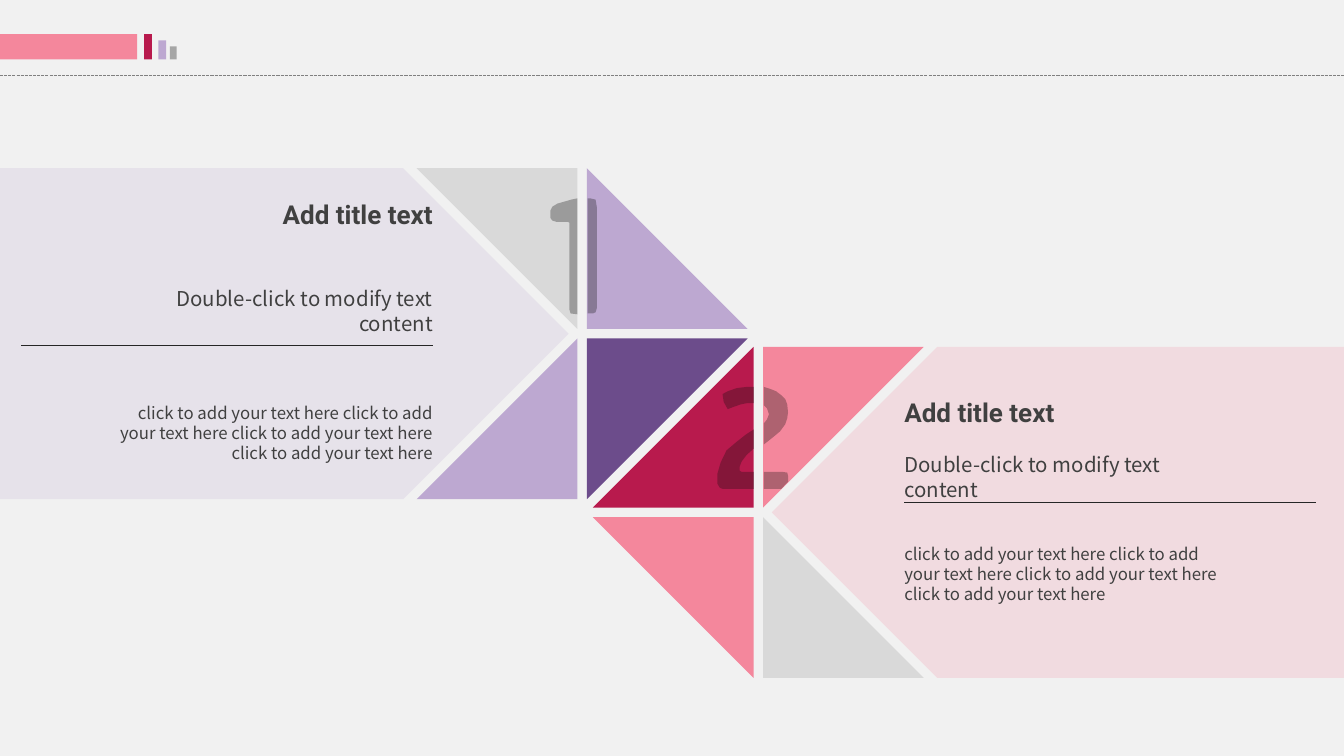
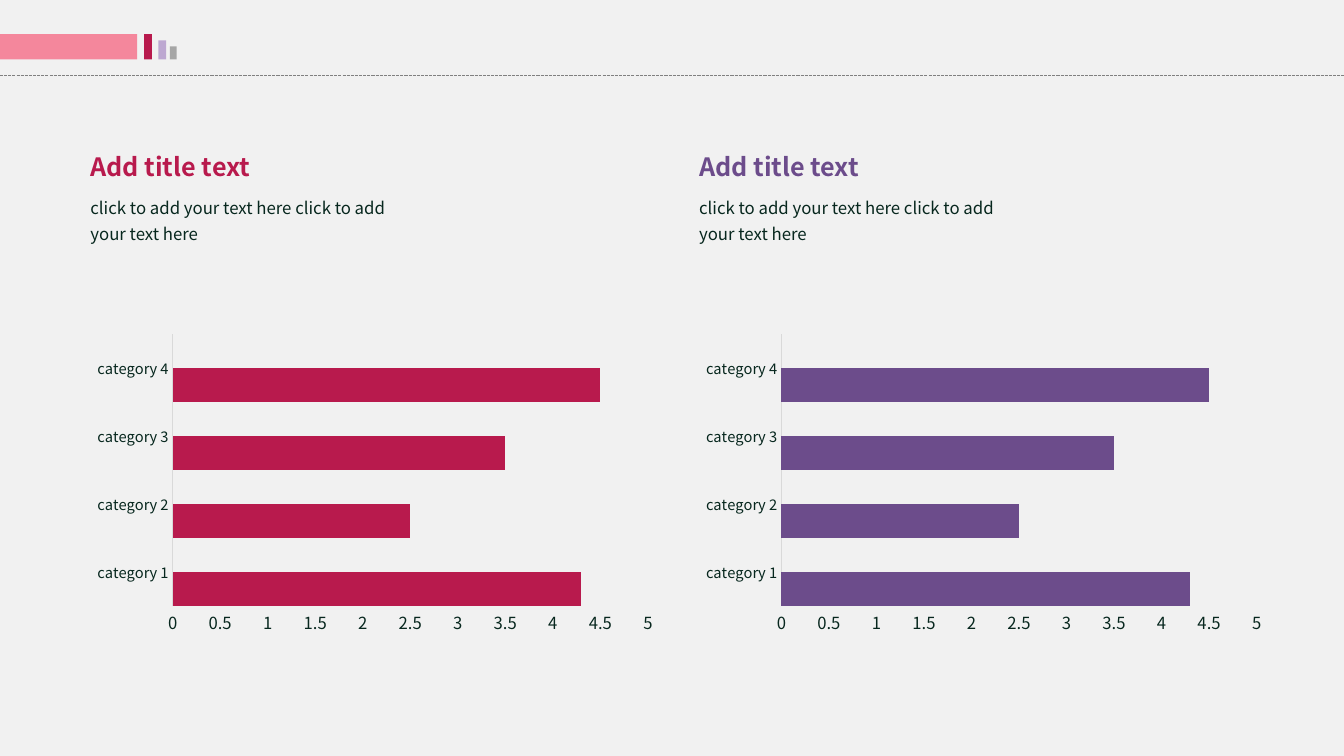
from dataclasses import dataclass
from itertools import product

from lxml.etree import SubElement
from pptx import Presentation
from pptx.chart.data import CategoryChartData
from pptx.dml.color import RGBColor
from pptx.enum.chart import XL_CHART_TYPE, XL_TICK_MARK
from pptx.enum.dml import MSO_LINE
from pptx.enum.shapes import MSO_CONNECTOR, MSO_SHAPE
from pptx.enum.text import MSO_ANCHOR, PP_ALIGN
from pptx.oxml.ns import qn
from pptx.util import Cm, Pt


@dataclass(frozen=True)
class Theme:
    # Colours
    page: str = "F1F1F1"
    crimson: str = "B81A4D"
    pink: str = "F4879C"
    purple: str = "6C4C8B"
    lilac: str = "BDA8D1"
    silver: str = "D9D9D9"
    grey: str = "A6A6A6"
    dash: str = "808080"
    rule: str = "262626"
    numeral: str = "0D0D0D"
    text: str = "404040"
    ink: str = "07271E"
    # Fonts and type sizes
    heading_font: str = "Roboto"
    body_font: str = "Noto Sans CJK KR"
    axis_font: str = "Noto Sans CJK SC"
    heading: float = 18.6
    subheading: float = 14.6
    chart_heading: float = 18
    body: float = 12
    category: float = 10.5
    value: float = 11.9
    hairline: float = 0.75


T = Theme()
WIDTH, HEIGHT = 33.87, 19.05
TITLE = "Add title text"
SUBTITLE = "Double-click to modify text content"
PHRASE = "click to add your text here"

# Numeral outlines, cut in two by the vertical gap of each emblem
ONE = [
    [(14.55, 5), (14.4, 5.03), (14.05, 5.13), (13.92, 5.21), (13.87, 5.31),
     (13.87, 5.49), (13.92, 5.56), (14.02, 5.59), (14.3, 5.59), (14.35, 5.61),
     (14.35, 7.8), (14.38, 7.9), (14.55, 7.92)],
    [(14.81, 5), (14.88, 5), (15.01, 5.03), (15.04, 5.21), (15.04, 7.77),
     (15.01, 7.87), (14.94, 7.9), (14.81, 7.9)],
]
TWO = [
    [(19, 9.75), (18.82, 9.75), (18.57, 9.78), (18.34, 9.86), (18.21, 9.93),
     (18.24, 10.13), (18.34, 10.31), (18.47, 10.26), (18.67, 10.19),
     (18.82, 10.16), (19, 10.16)],
    [(19, 10.82), (18.8, 10.95), (18.57, 11.13), (18.31, 11.35), (18.16, 11.66),
     (18.08, 11.94), (18.08, 12.19), (18.14, 12.29), (18.21, 12.32), (19, 12.32),
     (19, 11.89), (18.69, 11.89), (18.64, 11.86), (18.64, 11.76), (18.69, 11.63),
     (18.82, 11.46), (19, 11.3)],
    [(19.25, 9.75), (19.41, 9.8), (19.56, 9.86), (19.69, 9.96), (19.79, 10.06),
     (19.84, 10.19), (19.86, 10.39), (19.84, 10.54), (19.79, 10.69),
     (19.66, 10.87), (19.48, 11.02), (19.25, 11.2), (19.25, 10.67),
     (19.33, 10.57), (19.38, 10.44), (19.33, 10.29), (19.25, 10.21)],
    [(19.25, 11.89), (19.71, 11.89), (19.84, 11.91), (19.86, 11.99),
     (19.86, 12.14), (19.69, 12.32), (19.25, 12.32)],
]


def rgb(color):
    return RGBColor.from_string(color)


class Deck:
    def __init__(self):
        self.prs = Presentation()
        self.prs.slide_width, self.prs.slide_height = Cm(WIDTH), Cm(HEIGHT)
        fill = self.prs.slide_master.background.fill
        fill.solid()
        fill.fore_color.rgb = rgb(T.page)
        self.s = None

    def new_slide(self):
        """Add a slide with the shared header band."""
        self.s = self.prs.slides.add_slide(self.prs.slide_layouts[6])
        self.line(0, WIDTH, 1.9, T.dash, MSO_LINE.SQUARE_DOT)
        base = 1.5
        for x, w, h, color in [(0, 3.46, 0.64, T.pink), (3.63, 0.2, 0.64, T.crimson),
                               (3.99, 0.2, 0.48, T.lilac), (4.28, 0.17, 0.33, T.grey)]:
            bar = self.s.shapes.add_shape(MSO_SHAPE.RECTANGLE, Cm(x), Cm(base - h), Cm(w), Cm(h))
            self.paint(bar, color)

    def paint(self, sp, color, opacity=100):
        sp.shadow.inherit = False
        sp.line.fill.background()
        sp.fill.solid()
        sp.fill.fore_color.rgb = rgb(color)
        if opacity < 100:
            clr = sp.fill._xPr.find(f".//{qn('a:srgbClr')}")
            SubElement(clr, qn("a:alpha"), val=str(opacity * 1000))

    def line(self, x1, x2, y, color, dash=None):
        cn = self.s.shapes.add_connector(MSO_CONNECTOR.STRAIGHT, Cm(x1), Cm(y), Cm(x2), Cm(y))
        cn.line.color.rgb = rgb(color)
        cn.line.width = Pt(T.hairline)
        if dash:
            cn.line.dash_style = dash
        SubElement(cn._element.spPr, qn("a:effectLst"))

    def polygon(self, points, color, opacity=100):
        start, *rest = [(Cm(x), Cm(y)) for x, y in points]
        builder = self.s.shapes.build_freeform(*start)
        builder.add_line_segments(rest, close=True)
        self.paint(builder.convert_to_shape(), color, opacity)

    def text(self, x, y, w, h, words, size, color=T.text, font=T.body_font, bold=False,
             align=PP_ALIGN.LEFT, spacing=None, anchor=MSO_ANCHOR.TOP, inset=True):
        tf = self.s.shapes.add_textbox(Cm(x), Cm(y), Cm(w), Cm(h)).text_frame
        tf.word_wrap = True
        tf.vertical_anchor = anchor
        if not inset:
            tf.margin_left = tf.margin_right = tf.margin_top = tf.margin_bottom = 0
        p = tf.paragraphs[0]
        p.text = words
        p.alignment = align
        if spacing:
            p.line_spacing = spacing
        p.font.name, p.font.size, p.font.bold = font, Pt(size), bold
        p.font.color.rgb = rgb(color)

    def panel(self, cx, cy, side, color):
        """Pale arrow from the slide edge (side -1 left, 1 right) to an emblem centre."""
        half = 4.17
        edge = WIDTH if side > 0 else 0
        tip = cx + side * 0.34
        shoulder = tip + side * half
        self.polygon([(edge, cy - half), (shoulder, cy - half), (tip, cy),
                      (shoulder, cy + half), (edge, cy + half)], color, 20)

    def emblem(self, cx, cy, side, colors, numeral):
        """Four triangles around a cross-shaped gap, with a numeral on top."""
        gap, leg = 0.12, 4.05
        for (dx, dy), color in zip(product((-1, 1), repeat=2), colors):
            x_in, x_out = cx + dx * gap, cx + dx * (gap + leg)
            near, far = cy + dy * gap, cy + dy * (gap + leg)
            if dx == side:
                near, far = far, near
            self.polygon([(x_in, near), (x_in, far), (x_out, near)], color)
        for outline in numeral:
            self.polygon(outline, T.numeral, 30)

    def caption(self, side, x, widths, tops, rule):
        """Title, subtitle, rule and body; x is the edge the text is aligned to."""
        align = PP_ALIGN.RIGHT if side < 0 else PP_ALIGN.LEFT
        styles = [
            (0.71, TITLE, T.heading, dict(font=T.heading_font, bold=True, spacing=0.9)),
            (0.64, SUBTITLE, T.subheading, {}),
            (1.55, " ".join([PHRASE] * 4), T.body, dict(anchor=MSO_ANCHOR.MIDDLE)),
        ]
        for w, y, (h, words, size, style) in zip(widths, tops, styles):
            left = x - w if side < 0 else x
            self.text(left, y, w, h, words, size, align=align, inset=False, **style)
        self.line(x, x + side * 10.38, rule, T.rule)

    def bar_chart(self, x, y, w, h, color):
        data = CategoryChartData()
        data.categories = [f"category {n}" for n in range(1, 5)]
        data.add_series("Series 1", (4.3, 2.5, 3.5, 4.5))
        for n in (2, 3):
            data.add_series(f"Series {n}", (None,) * 4)
        chart = self.s.shapes.add_chart(XL_CHART_TYPE.BAR_CLUSTERED, Cm(x), Cm(y),
                                        Cm(w), Cm(h), data).chart
        chart.has_legend = chart.has_title = False
        chart.font.name = T.axis_font
        plot = chart.plots[0]
        plot.vary_by_categories = False
        plot.gap_width, plot.overlap = 0, 50
        for series in plot.series:
            series.format.fill.solid()
            series.format.fill.fore_color.rgb = rgb(color)
        # Axes
        for axis, size in [(chart.category_axis, T.category), (chart.value_axis, T.value)]:
            axis.has_major_gridlines = False
            axis.major_tick_mark = axis.minor_tick_mark = XL_TICK_MARK.NONE
            font = axis.tick_labels.font
            font.name, font.size = T.axis_font, Pt(size)
            font.color.rgb = rgb(T.ink)
        chart.category_axis.format.line.color.rgb = rgb(T.silver)
        chart.category_axis.format.line.width = Pt(T.hairline)
        values = chart.value_axis
        values.format.line.fill.background()
        values.minimum_scale, values.maximum_scale, values.major_unit = 0, 5, 0.5
        values.tick_labels.number_format = "General"
        values.tick_labels.number_format_is_linked = False

    def chart_column(self, x, color):
        self.bar_chart(x + 0.13, 8.26, 14.58, 7.9, color)
        self.text(x, 3.68, 8.56, 1.02, TITLE, T.chart_heading, color, bold=True)
        self.text(x, 4.7, 8.56, 1.52, " ".join([PHRASE] * 2), T.body, T.ink, spacing=1.3)


def main():
    deck = Deck()

    # Two interlocking emblems with captions
    deck.new_slide()
    left, right = (14.67, 8.41, -1), (19.11, 12.91, 1)
    deck.panel(*right, T.pink)
    deck.panel(*left, T.lilac)
    deck.caption(-1, 10.91, (8.94, 8.23, 8.23), (5.08, 7.21, 10.13), 8.71)
    deck.caption(1, 22.79, (10.97, 8.28, 7.92), (10.08, 11.4, 13.69), 12.65)
    deck.emblem(*left, (T.silver, T.lilac, T.lilac, T.purple), ONE)
    deck.emblem(*right, (T.crimson, T.pink, T.pink, T.silver), TWO)

    # Two bar charts side by side
    deck.new_slide()
    for x, color in [(2.03, T.crimson), (17.37, T.purple)]:
        deck.chart_column(x, color)

    deck.prs.save("out.pptx")


if __name__ == "__main__":
    main()
